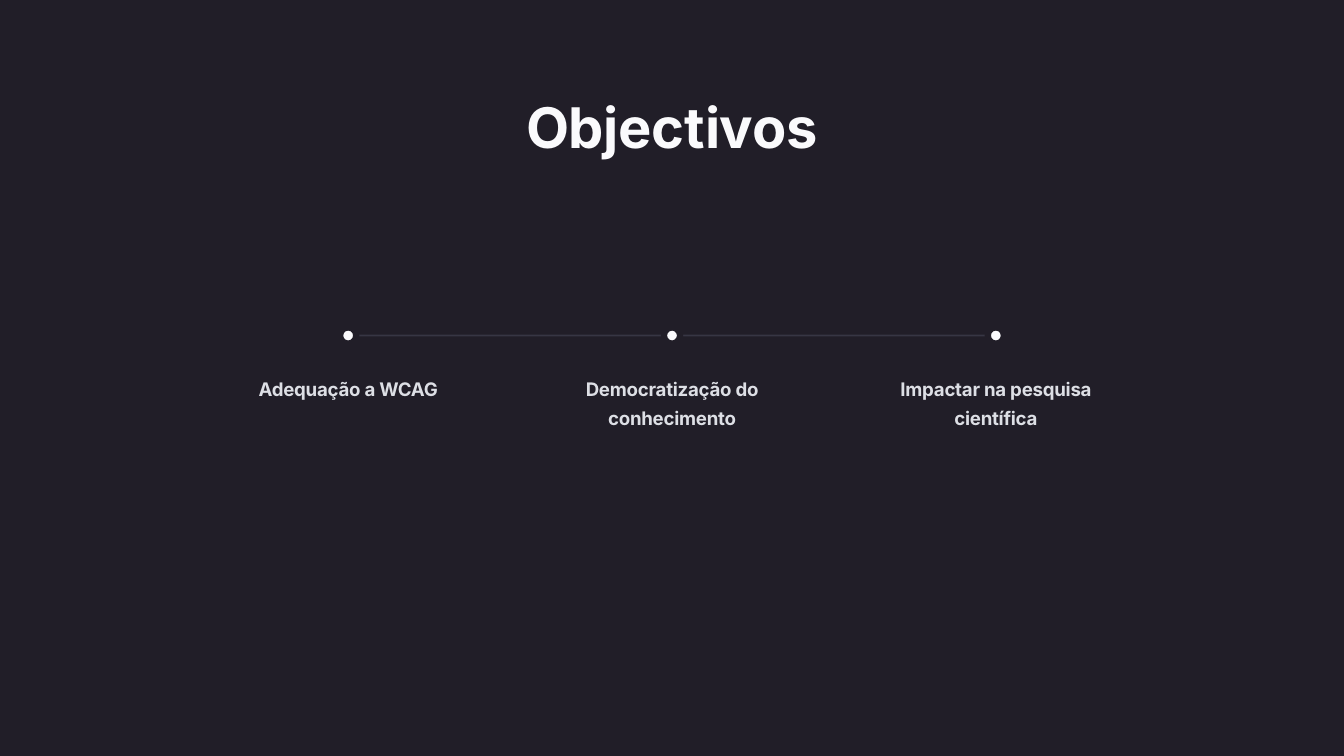
from pptx import Presentation
from pptx import util as u
from pptx.dml import color
from pptx.enum import shapes, text
from pptx.oxml import xmlchemy
from lxml import etree

COLORS = {"background": "211E28", "title": "FAFAFC", "label": "DDDFE5", "line": "6C7088"}
A = "{http://schemas.openxmlformats.org/drawingml/2006/main}"


def rgb(name):
    return color.RGBColor.from_string(COLORS[name])


def write(box, words, size, spacing, shade):
    frame = box.text_frame
    frame.word_wrap = True
    frame.auto_size = text.MSO_AUTO_SIZE.NONE
    frame.vertical_anchor = text.MSO_ANCHOR.TOP
    frame.margin_left = frame.margin_right = frame.margin_top = frame.margin_bottom = 0
    para = frame.paragraphs[0]
    para.alignment = text.PP_ALIGN.CENTER
    para.line_spacing = u.Pt(spacing)
    para.space_before = u.Pt(0)
    span = para.add_run()
    span.text = words
    span.font.name = "Inter"
    span.font.size = u.Pt(size)
    span.font.bold = True
    span.font.color.rgb = rgb(shade)
    span.font._element.set("spc", "-10")


deck = Presentation()
deck.slide_width, deck.slide_height = u.Pt(720), u.Pt(405)
page = deck.slides.add_slide(deck.slide_layouts[5])
page.background.fill.solid()
page.background.fill.fore_color.rgb = rgb("background")

title = page.shapes.title
title.left, title.top, title.width, title.height = u.Pt(37.5), u.Pt(37.5), u.Pt(645), u.Pt(48)
write(title, "Objectivos", 30, 48, "title")

goals = ["Adequação a WCAG", "Democratização do conhecimento", "Impactar na pesquisa científica"]
pitch, axis, dot_size, label_width = 173.5, 179.75, 8.7, 142.5
centers = [360 + pitch * (i - 1) for i in range(len(goals))]

timeline = page.shapes.add_connector(
    shapes.MSO_CONNECTOR.STRAIGHT, u.Pt(centers[0]), u.Pt(axis), u.Pt(centers[-1]), u.Pt(axis))
timeline.line.width = u.Pt(0.83)
timeline.line.color.rgb = rgb("line")
tint = timeline._element.spPr.find(f".//{A}srgbClr")
etree.SubElement(tint, f"{A}alpha", val="30000")
etree.SubElement(timeline._element.spPr, f"{A}effectLst")

for center, goal in zip(centers, goals):
    dot = page.shapes.add_shape(
        shapes.MSO_SHAPE.OVAL, u.Pt(center - dot_size / 2), u.Pt(axis - dot_size / 2),
        u.Pt(dot_size), u.Pt(dot_size))
    dot.shadow.inherit = False
    dot.fill.solid()
    dot.fill.fore_color.rgb = rgb("title")
    dot.line.color.rgb = rgb("background")
    dot.line.width = u.Pt(3.33)

    label = page.shapes.add_textbox(
        u.Pt(center - label_width / 2), u.Pt(198.75), u.Pt(label_width), u.Pt(31.2))
    write(label, goal, 10, 15.6, "label")

deck.save("out.pptx")
